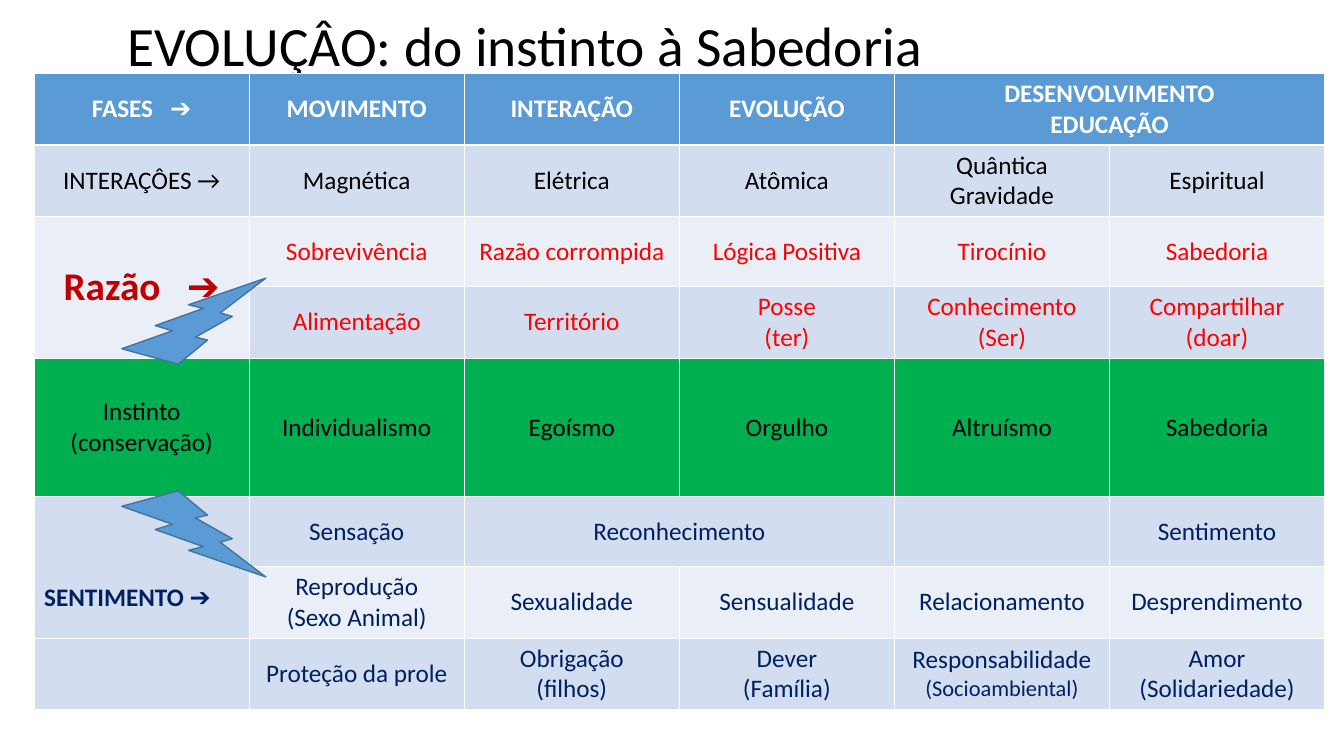
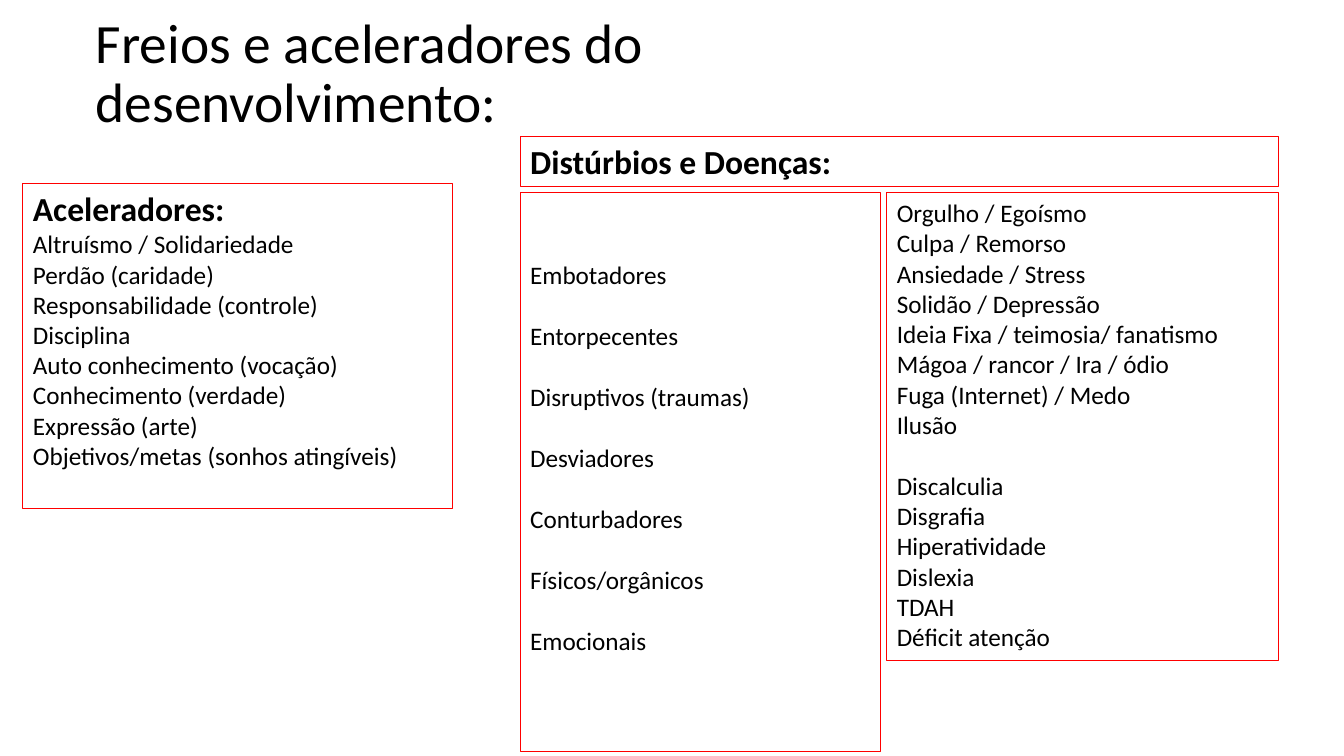
"""Builds two slides on instinct, wisdom and what slows or speeds development."""
from pptx import Presentation
from pptx.dml.color import RGBColor
from pptx.enum.shapes import MSO_SHAPE
from pptx.enum.text import MSO_ANCHOR, MSO_AUTO_SIZE, PP_ALIGN
from pptx.oxml.ns import qn
from pptx.util import Cm, Pt

LEFT, CENTER = PP_ALIGN.LEFT, PP_ALIGN.CENTER
MIDDLE = MSO_ANCHOR.MIDDLE
NO_AUTOFIT = MSO_AUTO_SIZE.NONE
BOLT = MSO_SHAPE.LIGHTNING_BOLT

FONT = "Calibri"
BLACK = RGBColor(0x00, 0x00, 0x00)
WHITE = RGBColor(0xFF, 0xFF, 0xFF)
BLUE = RGBColor(0x5B, 0x9B, 0xD5)
BLUE_EDGE = RGBColor(0x43, 0x73, 0x9E)
NAVY = RGBColor(0x00, 0x20, 0x60)
BAND_DARK = RGBColor(0xD2, 0xDE, 0xEF)
BAND_LIGHT = RGBColor(0xEA, 0xEF, 0xF7)
RED = RGBColor(0xFF, 0x00, 0x00)
DARK_RED = RGBColor(0xC0, 0x00, 0x00)
GREEN = RGBColor(0x00, 0xB0, 0x50)

BODY_SIZE = 18
LINE_GAP = Pt(22)
TWO_LINES_DOWN = Cm(1.68)


def style_runs(paragraph, size, color, bold=False):
    for run in paragraph.runs:
        run.font.name = FONT
        run.font.size = Pt(size)
        run.font.bold = bold
        run.font.color.rgb = color


def add_titled_slide(text, left, top, width, height):
    slide = prs.slides.add_slide(prs.slide_layouts[5])
    title = slide.shapes.title
    title.left, title.top, title.width, title.height = Cm(left), Cm(top), Cm(width), Cm(height)
    frame = title.text_frame
    frame.text = text
    frame.auto_size = NO_AUTOFIT
    frame.vertical_anchor = MIDDLE
    heading = frame.paragraphs[0]
    heading.alignment = LEFT
    heading.line_spacing = 0.9
    style_runs(heading, 39.6, BLACK)
    return slide


prs = Presentation()
prs.slide_width, prs.slide_height = Cm(33.87), Cm(19.05)

evolution = add_titled_slide("EVOLUÇÂO: do instinto à Sabedoria", 2.95, 0.43, 25.83, 1.57)

PHASE_ROWS = [
    (BLUE, WHITE, ["FASES ➔", "MOVIMENTO", "INTERAÇÃO", "EVOLUÇÃO", "DESENVOLVIMENTO\nEDUCAÇÃO", ""]),
    (BAND_DARK, BLACK, ["INTERAÇÔES →", "Magnética", "Elétrica", "Atômica", "Quântica Gravidade", "Espiritual"]),
    (BAND_LIGHT, RED, ["Razão ➔", "Sobrevivência", "Razão corrompida", "Lógica Positiva", "Tirocínio", "Sabedoria"]),
    (BAND_DARK, RED, ["", "Alimentação", "Território", "Posse\n(ter)", "Conhecimento (Ser)", "Compartilhar (doar)"]),
    (GREEN, BLACK, ["Instinto (conservação)", "Individualismo", "Egoísmo", "Orgulho", "Altruísmo", "Sabedoria"]),
    (BAND_DARK, NAVY, ["SENTIMENTO ➔", "Sensação", "Reconhecimento", "", "", "Sentimento"]),
    (BAND_LIGHT, NAVY, ["", "Reprodução\n(Sexo Animal)", "Sexualidade", "Sensualidade", "Relacionamento", "Desprendimento"]),
    (BAND_DARK, NAVY, ["", "Proteção da prole", "Obrigação\n(filhos)", "Dever\n(Família)",
                       "Responsabilidade\n(Socioambiental)", "Amor\n(Solidariedade)"]),
]
INSTINCT_ROW = 4
ROW_HEIGHT = 1.76

phases = evolution.shapes.add_table(8, 6, Cm(0.86), Cm(1.85), Cm(32.52), Cm(15.88)).table
for column in phases.columns:
    column.width = Cm(5.42)
for r, (fill, color, labels) in enumerate(PHASE_ROWS):
    phases.rows[r].height = Cm(3.49 if r == INSTINCT_ROW else ROW_HEIGHT)
    for c, label in enumerate(labels):
        cell = phases.cell(r, c)
        cell.fill.solid()
        cell.fill.fore_color.rgb = fill
        cell.vertical_anchor = MIDDLE
        cell.text_frame.text = label
        for line in cell.text_frame.paragraphs:
            line.alignment = CENTER
            style_runs(line, 16 if line.text == "(Socioambiental)" else BODY_SIZE, color, r == 0)

for first_row, first_col, last_row, last_col in [(0, 4, 0, 5), (2, 0, 3, 0), (5, 0, 6, 0), (5, 2, 5, 3)]:
    phases.cell(first_row, first_col).merge(phases.cell(last_row, last_col))

for r, size, color in [(0, BODY_SIZE, WHITE), (2, 28, DARK_RED)]:
    row_label = phases.cell(r, 0).text_frame.paragraphs[0]
    word, arrow = row_label.text.split(" ")
    row_label.text = word
    gap = row_label.add_run()
    gap.text = " "
    gap.font._element.set("spc", str(size * 45))
    row_label.add_run().text = arrow
    style_runs(row_label, size, color, True)

feeling = phases.cell(5, 0)
feeling.margin_top = TWO_LINES_DOWN
feeling.text_frame.paragraphs[0].alignment = LEFT
style_runs(feeling.text_frame.paragraphs[0], BODY_SIZE, NAVY, True)

for top, flipped in [(12.37, False), (7.01, True)]:
    bolt = evolution.shapes.add_shape(BOLT, Cm(3.07), Cm(top), Cm(3.63), Cm(2.17))
    bolt.shadow.inherit = False
    bolt.fill.solid()
    bolt.fill.fore_color.rgb = BLUE
    bolt.line.color.rgb = BLUE_EDGE
    bolt.line.width = Pt(1)
    if flipped:
        bolt._element.spPr.find(qn("a:xfrm")).set("flipV", "1")

brakes = add_titled_slide("Freios e aceleradores do desenvolvimento:", 2.16, 0.86, 23.88, 2.06)

ACCELERATORS = [
    "Aceleradores:", "Altruísmo / Solidariedade", "Perdão (caridade)", "Responsabilidade (controle)",
    "Disciplina", "Auto conhecimento (vocação)", "Conhecimento (verdade)", "Expressão (arte)",
    "Objetivos/metas (sonhos atingíveis)",
]
DISTURBANCES = [
    "Embotadores", "Entorpecentes", "Disruptivos (traumas)", "Desviadores", "Conturbadores",
    "Físicos/orgânicos", "Emocionais",
]
CONDITIONS = [
    "Orgulho / Egoísmo", "Culpa / Remorso", "Ansiedade / Stress", "Solidão / Depressão",
    "Ideia Fixa / teimosia/ fanatismo", "Mágoa / rancor / Ira / ódio", "Fuga (Internet) / Medo",
    "Ilusão", "Discalculia", "Disgrafia", "Hiperatividade", "Dislexia", "TDAH", "Déficit atenção",
]
HEADINGS = ["Aceleradores:", "Distúrbios e Doenças:"]
SPACED = DISTURBANCES[1:] + ["Discalculia"]

for left, top, width, height, entries in [
    (0.58, 4.62, 10.82, 8.2, ACCELERATORS),
    (13.11, 4.85, 9.07, 14.1, DISTURBANCES),
    (22.35, 4.85, 9.86, 11.79, CONDITIONS),
    (13.11, 3.43, 19.1, 1.27, HEADINGS[1:]),
]:
    panel = brakes.shapes.add_textbox(Cm(left), Cm(top), Cm(width), Cm(height))
    panel.line.color.rgb = RED
    panel.line.width = Pt(0.75)
    frame = panel.text_frame
    frame.word_wrap = True
    frame.auto_size = NO_AUTOFIT
    if entries is DISTURBANCES:
        frame.margin_top = TWO_LINES_DOWN
    frame.text = "\n".join(entries)
    for entry in frame.paragraphs:
        is_heading = entry.text in HEADINGS
        style_runs(entry, 24 if is_heading else BODY_SIZE, BLACK, is_heading)
        if entry.text in SPACED:
            entry.space_before = LINE_GAP

prs.save("out.pptx")
